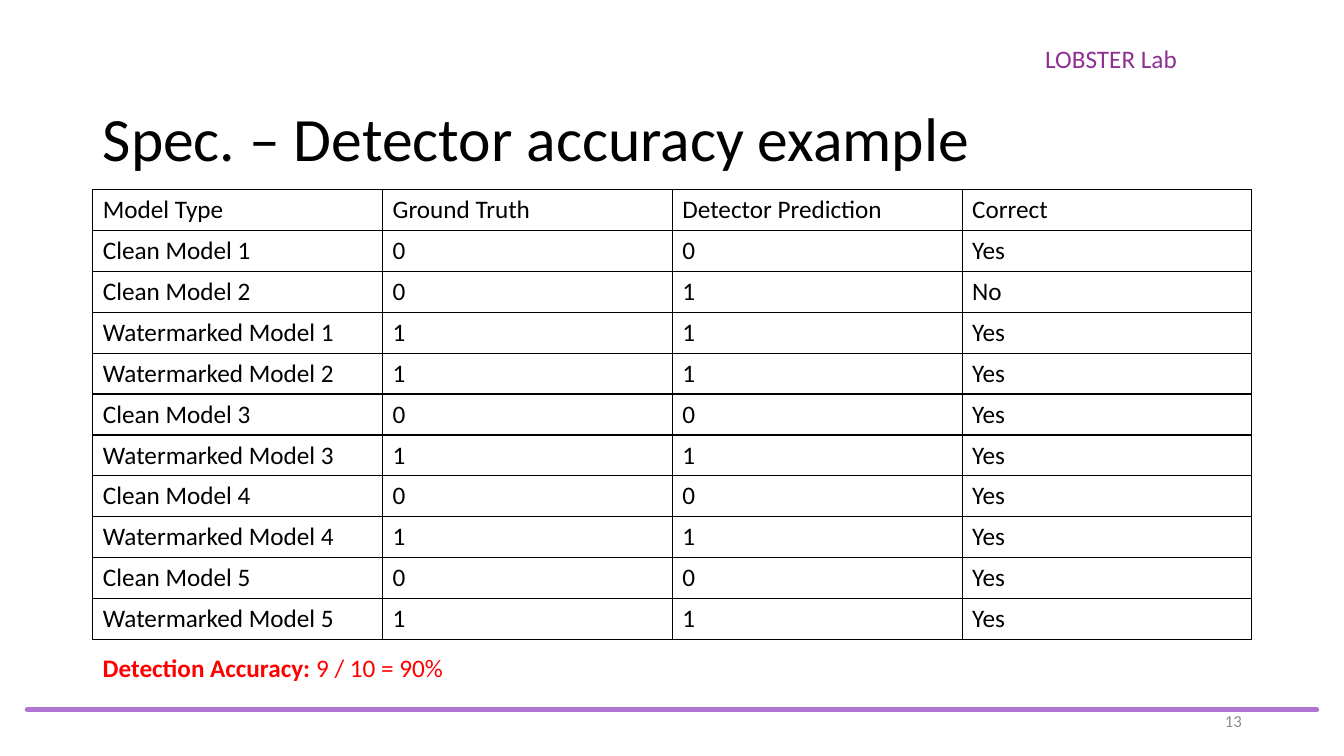
import pptx
import pptx.dml.color
import pptx.enum.shapes
import pptx.enum.text
import pptx.oxml
import pptx.oxml.ns
import pptx.util
from lxml import etree

Cm = pptx.util.Cm
Pt = pptx.util.Pt
RGBColor = pptx.dml.color.RGBColor
ANCHOR = pptx.enum.text.MSO_ANCHOR
ALIGN = pptx.enum.text.PP_ALIGN

BLACK = RGBColor(0x00, 0x00, 0x00)
WHITE = RGBColor(0xFF, 0xFF, 0xFF)
PURPLE = RGBColor(0x8F, 0x2E, 0x93)
LILAC = RGBColor(0xB0, 0x75, 0xD3)
GREY = RGBColor(0x8C, 0x8C, 0x8C)
RED = RGBColor(0xFF, 0x00, 0x00)

LEFT, CONTENT_WIDTH = 2.34, 29.21
HEADINGS = ["Model Type", "Ground Truth", "Detector Prediction", "Correct"]
RESULTS = [
    ("Clean Model 1", 0, 0),
    ("Clean Model 2", 0, 1),
    ("Watermarked Model 1", 1, 1),
    ("Watermarked Model 2", 1, 1),
    ("Clean Model 3", 0, 0),
    ("Watermarked Model 3", 1, 1),
    ("Clean Model 4", 0, 0),
    ("Watermarked Model 4", 1, 1),
    ("Clean Model 5", 0, 0),
    ("Watermarked Model 5", 1, 1),
]


class SlideBuilder:
    font = "Calibri"

    def __init__(self, page):
        self.page = page

    def style(self, para, size, color):
        para.font.name = self.font
        para.font.size = Pt(size)
        para.font.color.rgb = color

    def text(self, left, top, width, height, spans, size, color,
             anchor=ANCHOR.TOP, align=ALIGN.LEFT, spacing=1.0, wrap=True):
        """Spans are pairs of wording and boldness."""
        box = self.page.shapes.add_textbox(Cm(left), Cm(top), Cm(width), Cm(height))
        frame = box.text_frame
        frame.word_wrap = wrap
        frame.vertical_anchor = anchor
        para = frame.paragraphs[0]
        para.alignment = align
        para.line_spacing = spacing
        self.style(para, size, color)
        for wording, bold in spans:
            span = para.add_run()
            span.text = wording
            if bold:
                span.font.bold = True

    def band(self, left, top, width, height):
        band = self.page.shapes.add_shape(
            pptx.enum.shapes.MSO_SHAPE.RECTANGLE,
            Cm(left), Cm(top), Cm(width), Cm(height))
        band.shadow.inherit = False
        band.fill.solid()
        band.fill.fore_color.rgb = WHITE
        band.line.color.rgb = WHITE
        band.line.width = Pt(1)
        return band

    def rule_across(self, band, color, width):
        rule = self.page.shapes.add_connector(
            pptx.enum.shapes.MSO_CONNECTOR.STRAIGHT, 0, 0, 0, 0)
        rule.begin_connect(band, 1)
        rule.end_connect(band, 3)
        rule.line.color.rgb = color
        rule.line.width = Pt(width)
        properties = rule.element.spPr
        properties.find(pptx.oxml.ns.qn("a:ln")).set("cap", "rnd")
        etree.SubElement(properties, pptx.oxml.ns.qn("a:effectLst"))

    def border(self, cell, color, width):
        properties = cell._tc.get_or_add_tcPr()
        for index, side in enumerate(("lnL", "lnR", "lnT", "lnB")):
            line = pptx.oxml.parse_xml(
                f'<a:{side} {pptx.oxml.ns.nsdecls("a")} w="{Pt(width)}">'
                f'<a:solidFill><a:srgbClr val="{color}"/></a:solidFill></a:{side}>')
            properties.insert(index, line)

    def table(self, left, top, width, row_height, rows, size, color):
        frame = self.page.shapes.add_table(
            len(rows), len(rows[0]), Cm(left), Cm(top),
            Cm(width), Cm(row_height * len(rows)))
        table = frame.table
        table.first_row = False
        table.horz_banding = False
        for row, values in zip(table.rows, rows):
            row.height = Cm(row_height)
            for cell, value in zip(row.cells, values):
                cell.text = str(value)
                cell.vertical_anchor = ANCHOR.MIDDLE
                cell.fill.background()
                self.style(cell.text_frame.paragraphs[0], size, color)
                self.border(cell, color, 1)


def main():
    deck = pptx.Presentation()
    deck.slide_width, deck.slide_height = Cm(33.87), Cm(19.05)
    builder = SlideBuilder(deck.slides.add_slide(deck.slide_layouts[6]))

    # Lab name and footer rule
    builder.text(26.09, 0.97, 7.77, 1.02, [("LOBSTER Lab", False)], 18, PURPLE)
    footer = builder.band(0.69, 17.07, 32.49, 1.63)
    builder.rule_across(footer, LILAC, 3.75)

    # Title
    builder.text(LEFT, 1.73, CONTENT_WIDTH, 3.68,
                 [("Spec. – Detector accuracy example", False)], 44, BLACK,
                 anchor=ANCHOR.MIDDLE, spacing=0.9)

    # Detector results
    rows = [HEADINGS] + [
        (model, truth, prediction, "Yes" if truth == prediction else "No")
        for model, truth, prediction in RESULTS]
    builder.table(LEFT, 4.78, CONTENT_WIDTH, 1.03, rows, 18, BLACK)

    # Page number
    builder.text(23.93, 17.65, 7.62, 1.02, [("13", False)], 12, GREY,
                 anchor=ANCHOR.MIDDLE, align=ALIGN.RIGHT)

    # Overall accuracy
    builder.text(LEFT, 16.31, 9.17, 1.02,
                 [("Detection Accuracy:", True), (" 9 / 10 = 90%", False)],
                 18, RED, wrap=False)

    deck.save("out.pptx")


if __name__ == "__main__":
    main()
